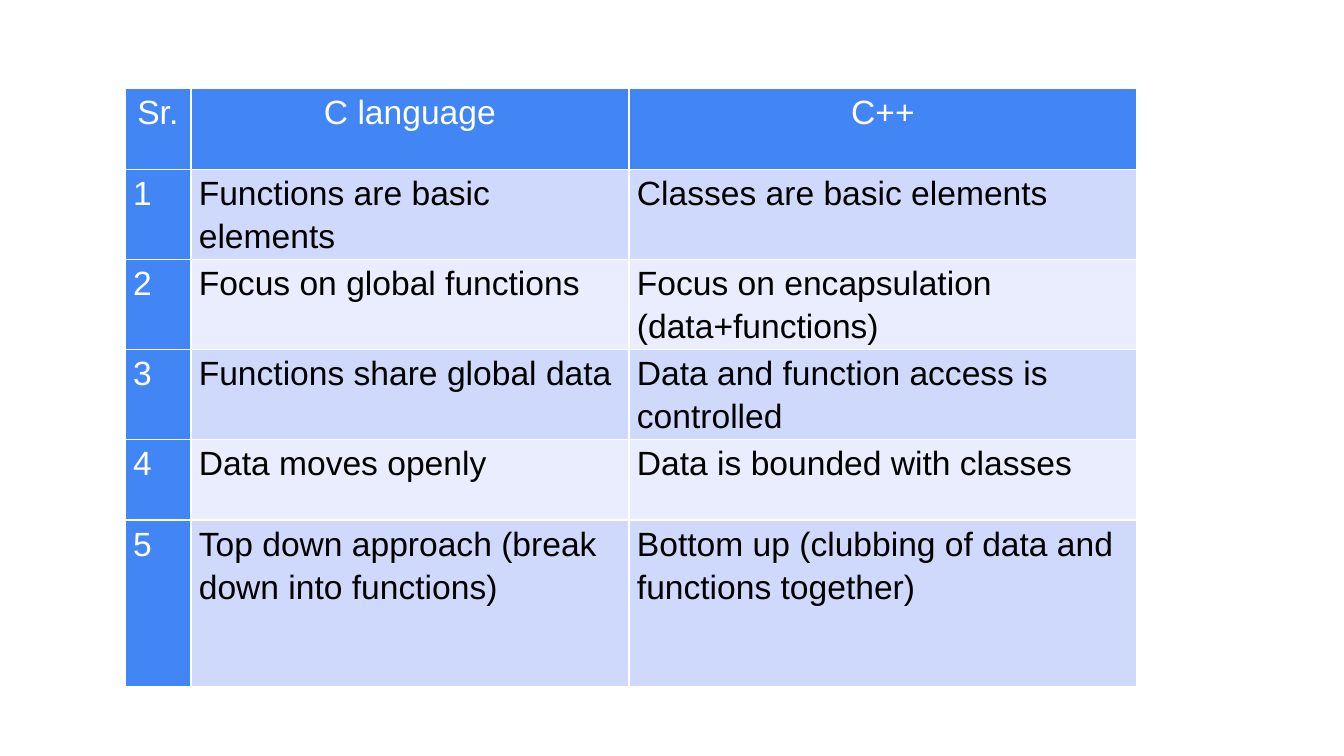
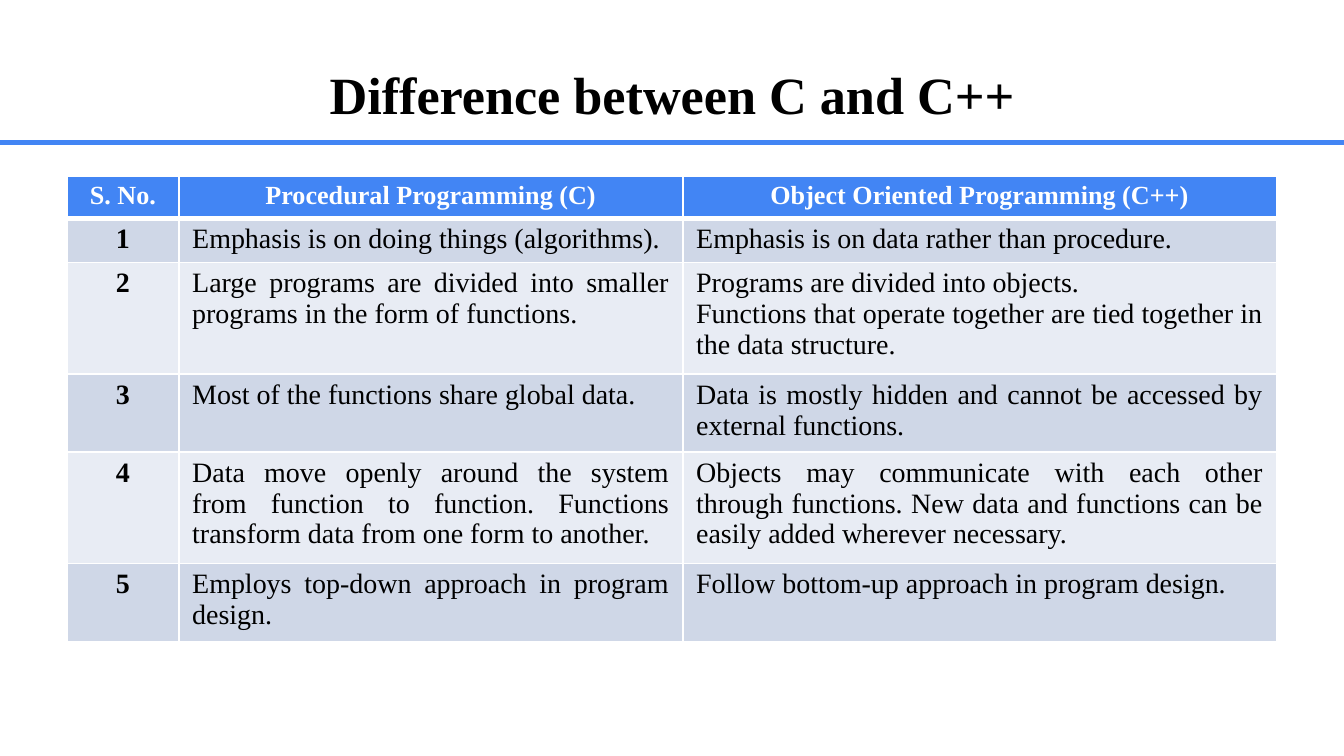
from dataclasses import dataclass

from lxml import etree
from pptx import Presentation
from pptx import util as u
from pptx.dml.color import RGBColor
from pptx.enum import shapes, text
from pptx.oxml import ns

# Content
BASIC_COMPARISON = [
    ("Sr.", "C language", "C++"),
    ("1", "Functions are basic elements", "Classes are basic elements"),
    ("2", "Focus on global functions", "Focus on encapsulation (data+functions)"),
    ("3", "Functions share global data", "Data and function access is controlled"),
    ("4", "Data moves openly", "Data is bounded with classes"),
    ("5", "Top down approach (break down into functions)",
     "Bottom up (clubbing of data and functions together)"),
]
DIFFERENCE_TITLE = "Difference between C and C++"
# A line break inside an entry starts a new paragraph
DETAILED_COMPARISON = [
    ("S. No.", "Procedural Programming (C)", "Object Oriented Programming (C++)"),
    ("1", "Emphasis is on doing things (algorithms).",
     "Emphasis is on data rather than procedure."),
    ("2", "Large programs are divided into smaller programs in the form of functions.",
     "Programs are divided into objects.\n"
     "Functions that operate together are tied together in the data structure."),
    ("3", "Most of the functions share global data.",
     "Data is mostly hidden and cannot be accessed by external functions."),
    ("4", "Data move openly around the system from function to function. "
          "Functions transform data from one form to another.",
     "Objects may communicate with each other through functions. "
     "New data and functions can be easily added wherever necessary."),
    ("5", "Employs top-down approach in program design.",
     "Follow bottom-up approach in program design."),
]


# Theme
class Theme:
    accent, white, black = "4285F4", "FFFFFF", "000000"
    sans, serif = "Arial", "Times New Roman"
    title_size = 28
    rule_width, grid_width = 3, 1


ALIGN = text.PP_ALIGN


@dataclass
class TableStyle:
    font: str
    head_size: int
    body_size: int
    bands: tuple
    number_fill: str | None    # None: the number column follows the bands
    number_color: str
    number_align: ALIGN
    body_align: ALIGN
    bold_labels: bool
    margins: tuple             # horizontal, vertical
    line_spacing: float | None
    head_rule: int


BASIC = TableStyle(Theme.sans, 18, 18, ("CFD9FB", "E9EDFD"), Theme.accent,
                   Theme.white, ALIGN.LEFT, ALIGN.LEFT, False, (0.06, 0), 1.15, 1)
DETAILED = TableStyle(Theme.serif, 14, 15, ("CFD7E7", "E8ECF4"), None,
                      Theme.black, ALIGN.CENTER, ALIGN.JUSTIFY, True, (0.1, 0.04), None, 3)


def rgb(value):
    return RGBColor.from_string(value)


def write(paragraph, words, font, size, color, bold, align, spacing=None):
    paragraph.alignment = align
    if spacing:
        paragraph.line_spacing = spacing
    run = paragraph.add_run()
    run.text = words
    run.font.name, run.font.size, run.font.bold = font, u.Pt(size), bold
    run.font.color.rgb = rgb(color)


def set_borders(cell, bottom_width):
    """Draw the white grid; border elements come before the cell's fill."""
    properties = cell._tc.get_or_add_tcPr()
    widths = {"lnL": Theme.grid_width, "lnR": Theme.grid_width,
              "lnT": Theme.grid_width, "lnB": bottom_width}
    for position, (side, width) in enumerate(widths.items()):
        border = etree.Element(ns.qn(f"a:{side}"), w=str(u.Pt(width)))
        fill = etree.SubElement(border, ns.qn("a:solidFill"))
        etree.SubElement(fill, ns.qn("a:srgbClr"), val=Theme.white)
        properties.insert(position, border)


def cell_look(style, row, column):
    """Return fill, size, colour, bold and alignment for a cell."""
    if row == 0:
        return Theme.accent, style.head_size, Theme.white, style.bold_labels, ALIGN.CENTER
    band = style.bands[(row - 1) % 2]
    if column == 0:
        return (style.number_fill or band, style.body_size, style.number_color,
                style.bold_labels, style.number_align)
    return band, style.body_size, Theme.black, False, style.body_align


def add_comparison(slide, entries, style, left, top, widths, heights, total_height):
    frame = slide.shapes.add_table(
        len(entries), len(widths), u.Inches(left), u.Inches(top),
        u.Inches(sum(widths)), u.Inches(total_height))
    table = frame.table
    table.horz_banding = False
    for column, width in zip(table.columns, widths):
        column.width = u.Inches(width)
    for row, height in zip(table.rows, heights):
        row.height = u.Inches(height)
    # Row heights are minimums, so the frame keeps its own height
    frame.height = u.Inches(total_height)

    side, edge = map(u.Inches, style.margins)
    for r, entry in enumerate(entries):
        for c, words in enumerate(entry):
            cell = table.cell(r, c)
            fill, size, color, bold, align = cell_look(style, r, c)
            cell.fill.solid()
            cell.fill.fore_color.rgb = rgb(fill)
            cell.margin_left = cell.margin_right = side
            cell.margin_top = cell.margin_bottom = edge
            set_borders(cell, style.head_rule if r == 0 else Theme.grid_width)
            body = cell.text_frame
            for i, line in enumerate(words.split("\n")):
                paragraph = body.add_paragraph() if i else body.paragraphs[0]
                write(paragraph, line, style.font, size, color, bold, align,
                      style.line_spacing)


def add_title(slide, words, slide_width):
    title = slide.shapes.add_textbox(
        u.Inches(0.5), u.Inches(0.23), u.Inches(9), u.Inches(0.94)).text_frame
    title.word_wrap = True
    title.vertical_anchor = text.MSO_ANCHOR.MIDDLE
    write(title.paragraphs[0], words, Theme.serif, Theme.title_size,
          Theme.black, True, ALIGN.CENTER)

    # Rule under the title, across the whole slide
    rule = slide.shapes.add_connector(
        shapes.MSO_CONNECTOR.STRAIGHT, 0, u.Inches(1.06), slide_width, u.Inches(1.06))
    rule.line.color.rgb = rgb(Theme.accent)
    rule.line.width = u.Pt(Theme.rule_width)
    etree.SubElement(rule._element.spPr, ns.qn("a:effectLst"))


def main():
    deck = Presentation()
    deck.slide_width = u.Inches(10)
    deck.slide_height = deck.slide_width * 9 // 16
    blank = deck.slide_layouts[6]

    # Slide 1: basic comparison
    basic = deck.slides.add_slide(blank)
    add_comparison(basic, BASIC_COMPARISON, BASIC, 0.93, 0.66,
                   (0.49, 3.26, 3.78), (0.6, 0.67, 0.67, 0.67, 0.6, 1.24), 4.44)

    # Slide 2: detailed comparison; rows grow with their text
    detailed = deck.slides.add_slide(blank)
    add_title(detailed, DIFFERENCE_TITLE, deck.slide_width)
    add_comparison(detailed, DETAILED_COMPARISON, DETAILED, 0.5, 1.31,
                   (0.83, 3.75, 4.42), [0.3] * len(DETAILED_COMPARISON), 3.43)

    deck.save("out.pptx")


if __name__ == "__main__":
    main()
